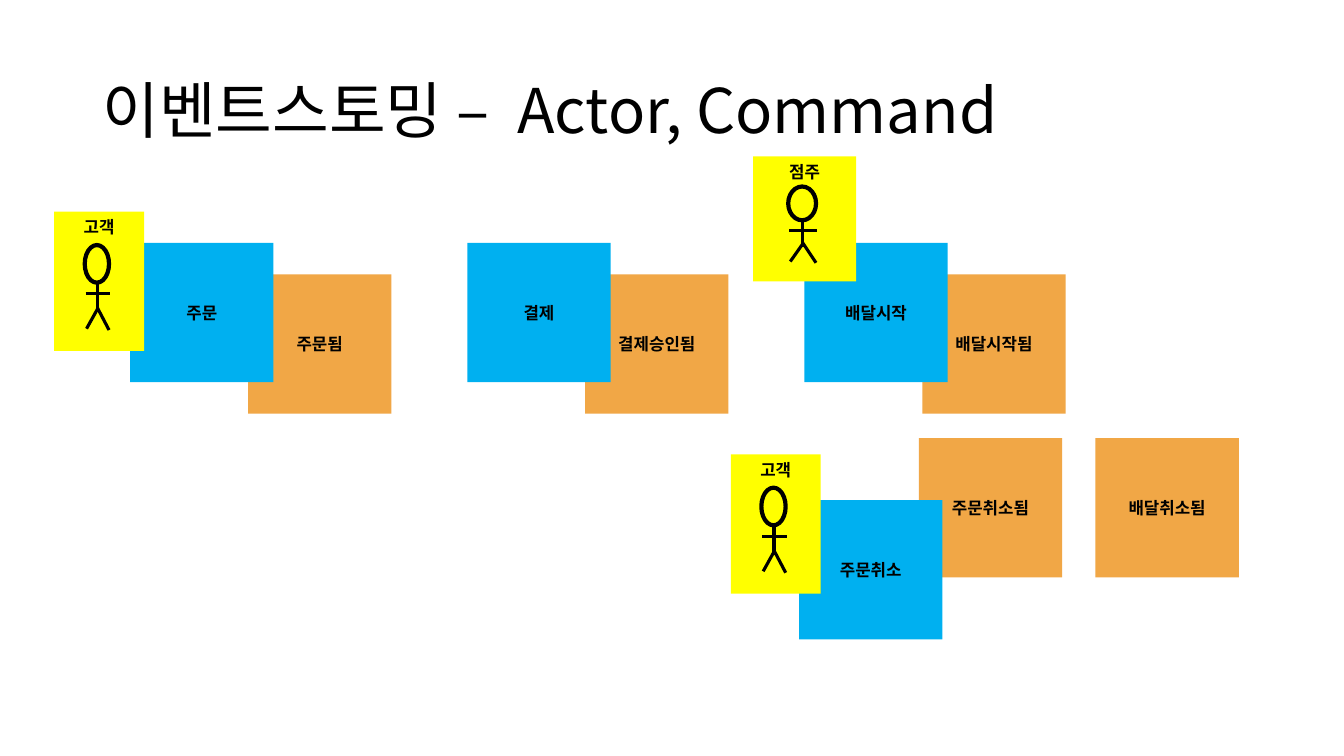
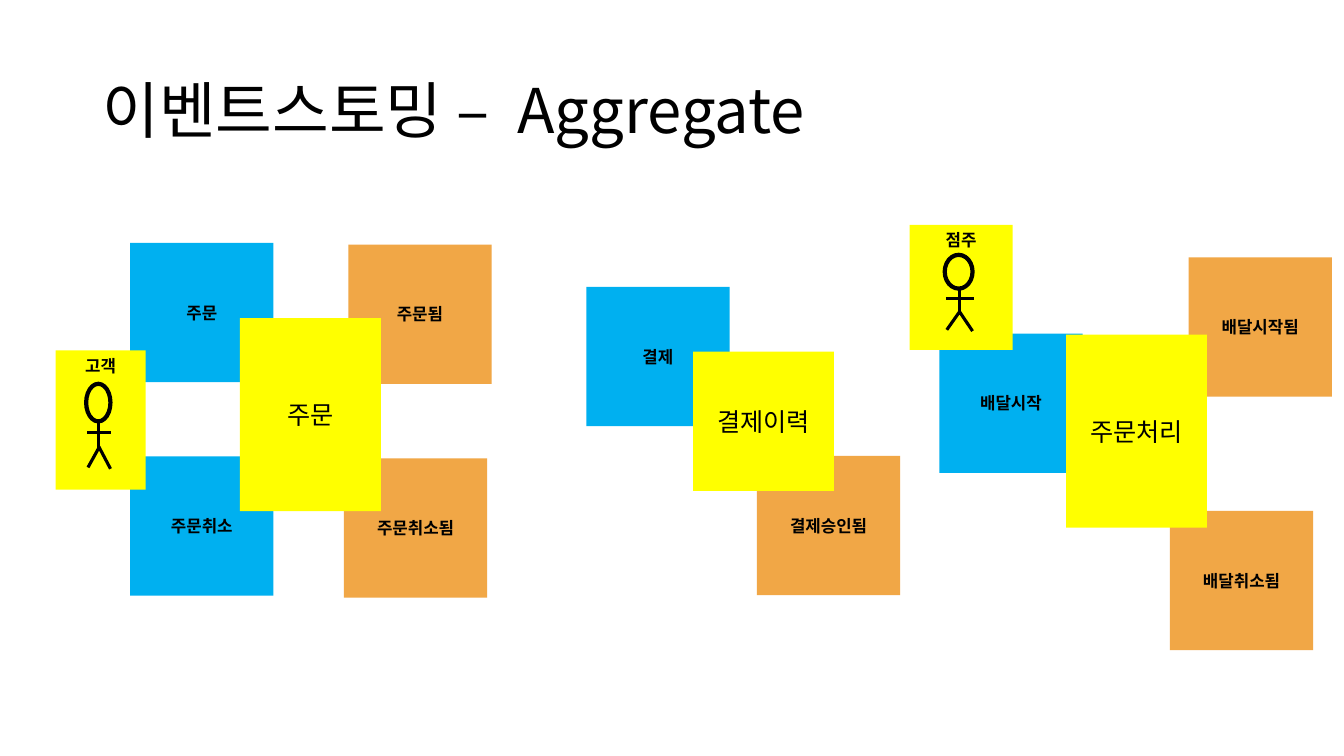
from lxml.etree import SubElement
from pptx import Presentation
from pptx.dml.color import RGBColor
from pptx.enum.shapes import MSO_CONNECTOR as Connector, MSO_SHAPE as Shape
from pptx.enum.text import MSO_ANCHOR as Anchor, MSO_AUTO_SIZE as AutoSize, PP_ALIGN as Align
from pptx.oxml.ns import qn
from pptx.util import Pt

BLACK = RGBColor(0x00, 0x00, 0x00)
ORANGE = RGBColor(0xF1, 0xA7, 0x46)
BLUE = RGBColor(0x00, 0xB0, 0xF0)
YELLOW = RGBColor(0xFF, 0xFF, 0x00)
FONT = "Noto Sans CJK KR"

# Sticky note sizes in points
NOTE = (102.4, 99.5)
CUSTOMER_CARD = (64.3, 99.5)
OWNER_CARD = (73.6, 89.3)
AGGREGATE_WIDTH = 100.6
AGGREGATE_HEIGHT = 138

# Stick figure, as fractions of its card: head box, then limbs from start to end
HEAD = (0.34, 0.24, 0.27, 0.27)
LIMBS = [
    (0.35, 0.59, 0.62, 0.59),  # arms
    (0.48, 0.51, 0.48, 0.72),  # body
    (0.48, 0.70, 0.36, 0.84),  # left leg
    (0.48, 0.69, 0.61, 0.85),  # right leg
]


class StormBoard:
    """Holds the deck, its style and the slide being filled."""

    def __init__(self):
        self.deck = Presentation()
        self.deck.slide_width, self.deck.slide_height = Pt(960), Pt(540)
        self.page = None

    def style(self, paragraph, size, bold=False):
        for span in paragraph.runs:
            span.font.name, span.font.size, span.font.bold = FONT, Pt(size), bold
            span.font.color.rgb = BLACK
            SubElement(span._r.get_or_add_rPr(), qn("a:ea"), typeface=FONT)

    def new_slide(self, topic):
        self.page = self.deck.slides.add_slide(self.deck.slide_layouts[5])
        title = self.page.shapes.title
        title.left, title.top, title.width, title.height = Pt(66), Pt(28.8), Pt(828), Pt(104.4)
        frame = title.text_frame
        frame.auto_size, frame.vertical_anchor = AutoSize.NONE, Anchor.MIDDLE
        para = frame.paragraphs[0]
        para.alignment, para.line_spacing = Align.LEFT, 0.9
        for words in ("이벤트스토밍 –", " ", topic):
            para.add_run().text = words
        self.style(para, 44)
        # Widen the gap after the dash
        para.runs[1]._r.get_or_add_rPr().set("spc", "1000")

    def note(self, text, left, top, color, size=NOTE, font_size=12, bold=True,
             anchor=Anchor.MIDDLE, shapes=None):
        shapes = self.page.shapes if shapes is None else shapes
        box = shapes.add_shape(Shape.RECTANGLE, Pt(left), Pt(top), Pt(size[0]), Pt(size[1]))
        box.shadow.inherit = False
        box.fill.solid()
        box.fill.fore_color.rgb = color
        box.line.fill.background()
        frame = box.text_frame
        frame.word_wrap, frame.vertical_anchor = True, anchor
        para = frame.paragraphs[0]
        para.text, para.alignment = text, Align.CENTER
        self.style(para, font_size, bold)

    def event(self, text, left, top):
        self.note(text, left, top, ORANGE)

    def command(self, text, left, top):
        self.note(text, left, top, BLUE)

    def aggregate(self, text, left, top, height=AGGREGATE_HEIGHT):
        self.note(text, left, top, YELLOW, (AGGREGATE_WIDTH, height), 18, False)

    def actor(self, text, left, top, size):
        """A yellow card with a name above a stick figure, grouped."""
        width, height = size
        shapes = self.page.shapes.add_group_shape().shapes
        self.note(text, left, top, YELLOW, size, anchor=Anchor.TOP, shapes=shapes)
        x, y, head_width, head_height = HEAD
        head = shapes.add_shape(Shape.OVAL, Pt(left + x * width), Pt(top + y * height),
                                Pt(head_width * width), Pt(head_height * height))
        head.shadow.inherit = False
        head.fill.background()
        head.line.color.rgb, head.line.width = BLACK, Pt(3)
        for x1, y1, x2, y2 in LIMBS:
            limb = shapes.add_connector(
                Connector.STRAIGHT, Pt(left + x1 * width), Pt(top + y1 * height),
                Pt(left + x2 * width), Pt(top + y2 * height))
            limb.line.color.rgb, limb.line.width = BLACK, Pt(2.25)
            SubElement(limb._element.spPr, qn("a:effectLst"))

    def customer(self, left, top):
        self.actor("고객", left, top, CUSTOMER_CARD)

    def owner(self, left, top):
        self.actor("점주", left, top, OWNER_CARD)


def build_commands(board):
    board.new_slide("Actor, Command")
    # Main flow: each command covers a corner of the event it triggers
    flow = [("주문", "주문됨"), ("결제", "결제승인됨"), ("배달시작", "배달시작됨")]
    for index, (command, event) in enumerate(flow):
        left = 93 + 240.8 * index
        board.event(event, left + 84.2, 196)
        board.command(command, left, 173.5)
    # Cancellation
    board.event("배달취소됨", 782.5, 313)
    board.event("주문취소됨", 656.3, 313)
    board.command("주문취소", 570.8, 357.3)
    # Actors
    board.customer(38.7, 151.2)
    board.owner(538, 111.8)
    board.customer(522, 324.5)


def build_aggregates(board):
    board.new_slide("Aggregate")
    # Events
    board.event("주문됨", 248.8, 174.7)
    board.event("결제승인됨", 540.7, 325.7)
    board.event("배달시작됨", 849, 183.8)
    board.event("배달취소됨", 835.7, 365)
    board.event("주문취소됨", 245.7, 327.4)
    # Commands
    board.command("주문", 93, 173.5)
    board.command("결제", 418.8, 205)
    board.command("배달시작", 671, 238.3)
    board.command("주문취소", 93, 326)
    # Actors
    board.customer(39.7, 250.3)
    board.owner(649.8, 160.6)
    # Aggregates lie on top
    board.aggregate("주문", 171.4, 227.2)
    board.aggregate("결제이력", 495, 251.2, NOTE[1])
    board.aggregate("주문처리", 761.5, 239)


def main():
    board = StormBoard()
    build_commands(board)
    build_aggregates(board)
    board.deck.save("out.pptx")


if __name__ == "__main__":
    main()
